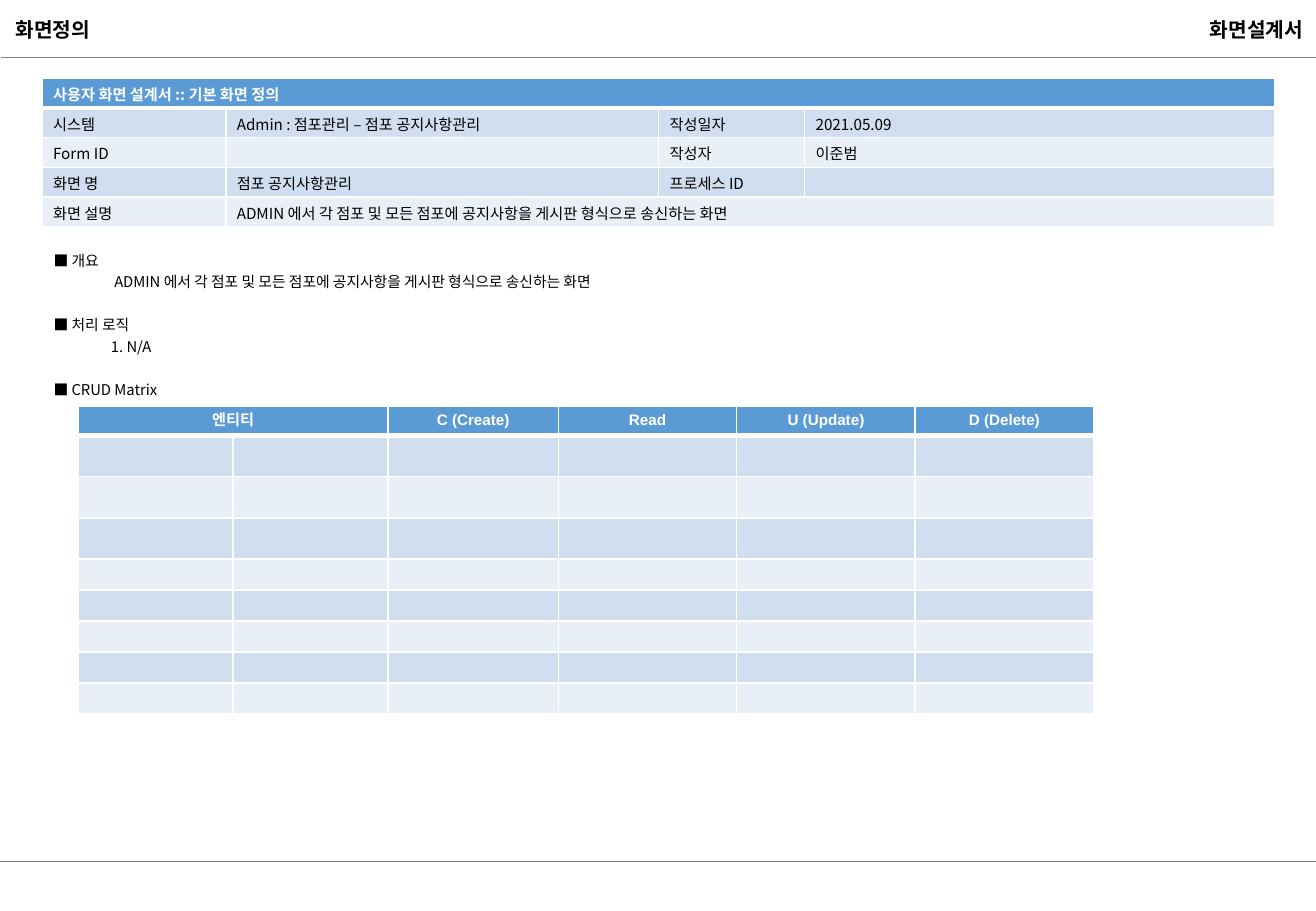
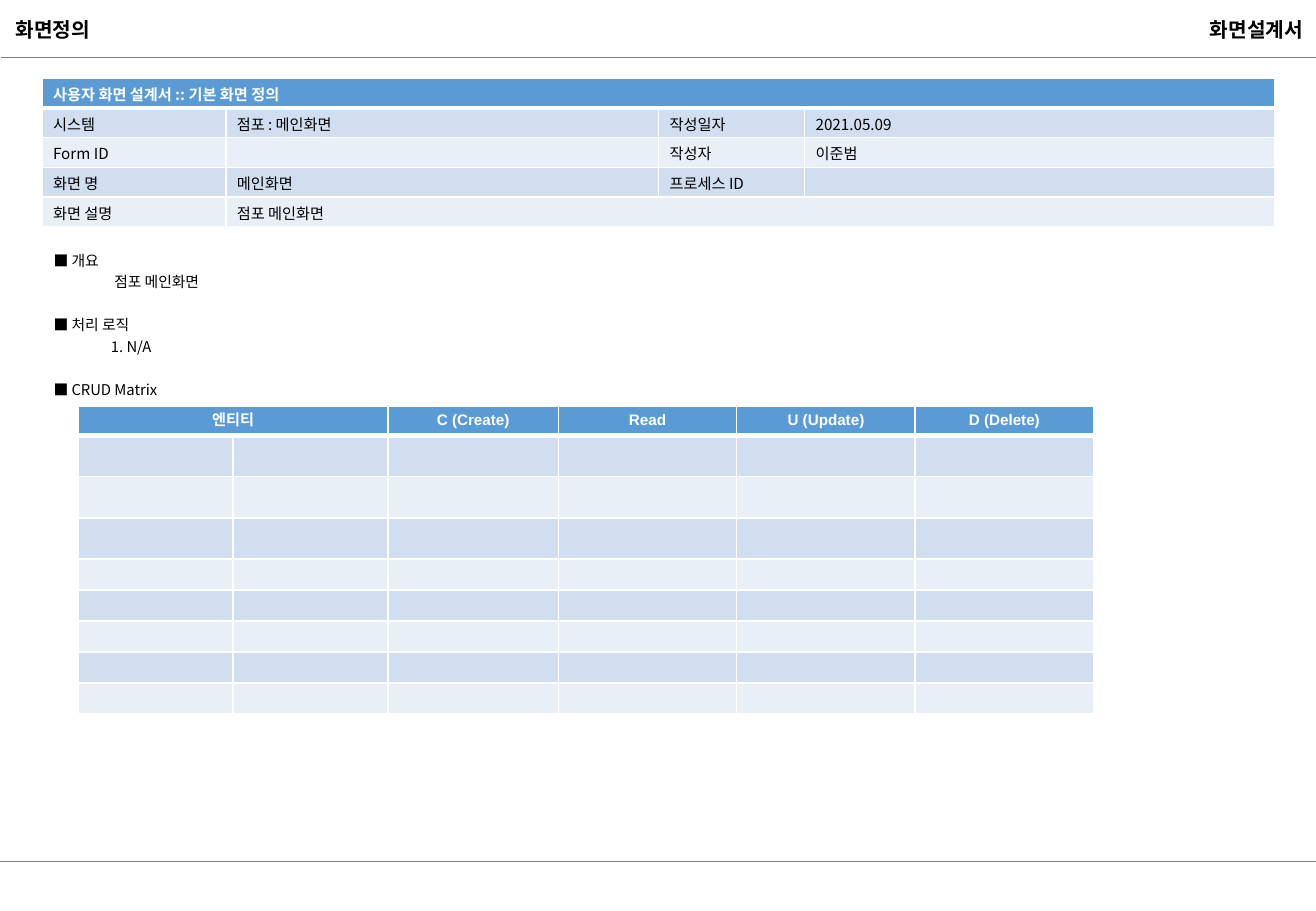
from lxml.etree import SubElement
from pptx import Presentation
from pptx.dml.color import RGBColor
from pptx.enum.shapes import MSO_CONNECTOR
from pptx.enum.text import MSO_ANCHOR, MSO_AUTO_SIZE, PP_ALIGN
from pptx.oxml.ns import qn
from pptx.util import Cm, Pt

KOREAN, LATIN = "Noto Sans CJK KR", "Arial"
BLACK, WHITE, GRAY = "000000", "FFFFFF", "7F7F7F"
HEADER_BLUE = "5B9BD5"
BANDS = ("E9EFF7", "D0DEEF")
SLIDE_WIDTH, SLIDE_HEIGHT = 27.51, 19.05
BODY_PITCH = Pt(12.8)

SUMMARY_COLUMNS = (3.84, 9.05, 3.05, 9.83)
SUMMARY_ROWS = (0.62,) * 5
SUMMARY_MARGINS = (0.23, 0.13, 0.23, 0.05)
MATRIX_COLUMNS = (3.24, 3.24, 3.56, 3.73, 3.73, 3.73)
MATRIX_ROWS = (0.62,) + (0.86,) * 3 + (0.64,) * 5
MATRIX_MARGINS = (0.25, 0.13, 0.25, 0.13)
MATRIX_HEADER = ("엔티티", "", "C (Create)", "Read", "U (Update)", "D (Delete)")

SCREENS = (
    {
        "system": "Admin : 점포관리 – 점포 공지사항관리",
        "screen": "점포 공지사항관리",
        "description": "ADMIN 에서 각 점포 및 모든 점포에 공지사항을 게시판 형식으로 송신하는 화면",
    },
    {
        "system": "점포 : 메인화면",
        "screen": "메인화면",
        "description": "점포 메인화면",
    },
)


def color(hex_value):
    """Turn a hex string into a colour."""
    return RGBColor.from_string(hex_value)


def add_run(paragraph, text, size, hex_value=BLACK, bold=False, font=KOREAN):
    """Add one run, with the font set for Latin and Korean letters."""
    run = paragraph.add_run()
    run.text = text
    run.font.size = Pt(size)
    run.font.bold = bold
    run.font.name = font
    run.font.color.rgb = color(hex_value)
    SubElement(run.font._element, qn("a:ea"), typeface=font)


def add_frame(slide, left, top, width, height, anchor):
    """Add a wrapping text box and return its text frame."""
    frame = slide.shapes.add_textbox(Cm(left), Cm(top), Cm(width), Cm(height)).text_frame
    frame.word_wrap = True
    frame.auto_size = MSO_AUTO_SIZE.NONE
    frame.vertical_anchor = anchor
    return frame


def add_title(slide, text, left, width, align):
    """Add one of the two titles in the page header."""
    frame = add_frame(slide, left, 0.23, width, 0.76, MSO_ANCHOR.MIDDLE)
    paragraph = frame.paragraphs[0]
    paragraph.alignment = align
    add_run(paragraph, text, 12, bold=True)


def add_rule(slide, left, top):
    """Add a thin line that runs to the right edge of the slide."""
    rule = slide.shapes.add_connector(
        MSO_CONNECTOR.STRAIGHT, Cm(left), Cm(top), Cm(SLIDE_WIDTH), Cm(top))
    rule.line.color.rgb = color(GRAY)
    rule.line.width = Pt(0.75)
    SubElement(rule.element.spPr, qn("a:effectLst"))


def share_page_frame(slide, layout):
    """Draw the titles and rules once and move them to the layout."""
    for placeholder in list(layout.placeholders):
        layout.shapes.element.remove(placeholder.element)
    add_rule(slide, 0, 18.01)
    add_rule(slide, 0.02, 1.21)
    add_title(slide, "화면정의", 0.08, 2.21, PP_ALIGN.LEFT)
    add_title(slide, "화면설계서", 19.69, 7.8, PP_ALIGN.RIGHT)
    for part in list(slide.shapes):
        layout.shapes.element.append(part.element)


def set_borders(cell, top, bottom):
    """Give a cell white borders, with top and bottom widths in points."""
    properties = cell._tc.get_or_add_tcPr()
    for side, width in (("L", 1), ("R", 1), ("T", top), ("B", bottom)):
        border = SubElement(properties, qn(f"a:ln{side}"), w=str(Pt(width)))
        fill = SubElement(border, qn("a:solidFill"))
        SubElement(fill, qn("a:srgbClr"), val=WHITE)


def add_banded_table(slide, left, top, columns, heights, contents, margins,
                     font, header_align, pitch=None):
    """Add a table with a blue header row and banded rows below it."""
    table = slide.shapes.add_table(
        len(heights), len(columns), Cm(left), Cm(top),
        Cm(sum(columns)), Cm(sum(heights))).table
    for column, width in zip(table.columns, columns):
        column.width = Cm(width)
    for index, (row, height) in enumerate(zip(table.rows, heights)):
        row.height = Cm(height)
        header = index == 0
        for cell, text in zip(row.cells, contents[index]):
            set_borders(cell, 3 if index == 1 else 1, 3 if header else 1)
            cell.fill.solid()
            cell.fill.fore_color.rgb = color(HEADER_BLUE if header else BANDS[index % 2])
            (cell.margin_left, cell.margin_top,
             cell.margin_right, cell.margin_bottom) = map(Cm, margins)
            paragraph = cell.text_frame.paragraphs[0]
            if pitch:
                paragraph.line_spacing = pitch
            if header:
                paragraph.alignment = header_align
            if text:
                add_run(paragraph, text, 9, WHITE if header else BLACK, header, font)
            else:
                SubElement(paragraph._p, qn("a:endParaRPr"), sz="900")
    return table


def add_summary(slide, screen):
    """Add the table that identifies the screen."""
    contents = (
        ("사용자 화면 설계서 :: 기본 화면 정의", "", "", ""),
        ("시스템", screen["system"], "작성일자", "2021.05.09"),
        ("Form ID", "", "작성자", "이준범"),
        ("화면 명", screen["screen"], "프로세스 ID", ""),
        ("화면 설명", screen["description"], "", ""),
    )
    table = add_banded_table(slide, 0.88, 1.64, SUMMARY_COLUMNS, SUMMARY_ROWS, contents,
                             SUMMARY_MARGINS, KOREAN, PP_ALIGN.LEFT, Pt(12))
    table.cell(0, 0).merge(table.cell(0, 3))
    table.cell(4, 1).merge(table.cell(4, 3))


def add_outline(slide, description):
    """Add the section headings with their indented details."""
    frame = add_frame(slide, 0.87, 5.05, 25.8, 3.35, MSO_ANCHOR.TOP)
    lines = (
        ("■ 개요", 0, False),
        (description, 1.27, False),
        ("■ 처리 로직", 0, True),
        ("1. N/A", 1.2, False),
        ("■ CRUD Matrix", 0, True),
    )
    for index, (text, indent, new_section) in enumerate(lines):
        paragraph = frame.add_paragraph() if index else frame.paragraphs[0]
        paragraph.line_spacing = BODY_PITCH
        if new_section:
            paragraph.space_before = BODY_PITCH
        if indent:
            paragraph.level = 1
            properties = paragraph._p.get_or_add_pPr()
            properties.set("marL", str(Cm(indent)))
            properties.set("indent", "0")
        add_run(paragraph, text, 8.8)


def add_matrix(slide):
    """Add the empty CRUD matrix."""
    empty_row = ("",) * len(MATRIX_COLUMNS)
    contents = (MATRIX_HEADER,) + (empty_row,) * (len(MATRIX_ROWS) - 1)
    table = add_banded_table(slide, 1.63, 8.49, MATRIX_COLUMNS, MATRIX_ROWS, contents,
                             MATRIX_MARGINS, LATIN, PP_ALIGN.CENTER)
    table.cell(0, 0).merge(table.cell(0, 1))


def main():
    """Build one slide for each screen and save the file."""
    deck = Presentation()
    deck.slide_width, deck.slide_height = Cm(SLIDE_WIDTH), Cm(SLIDE_HEIGHT)
    blank = deck.slide_layouts[6]
    for index, screen in enumerate(SCREENS):
        slide = deck.slides.add_slide(blank)
        if index == 0:
            share_page_frame(slide, blank)
        add_summary(slide, screen)
        add_outline(slide, screen["description"])
        add_matrix(slide)
    deck.save("out.pptx")


main()
